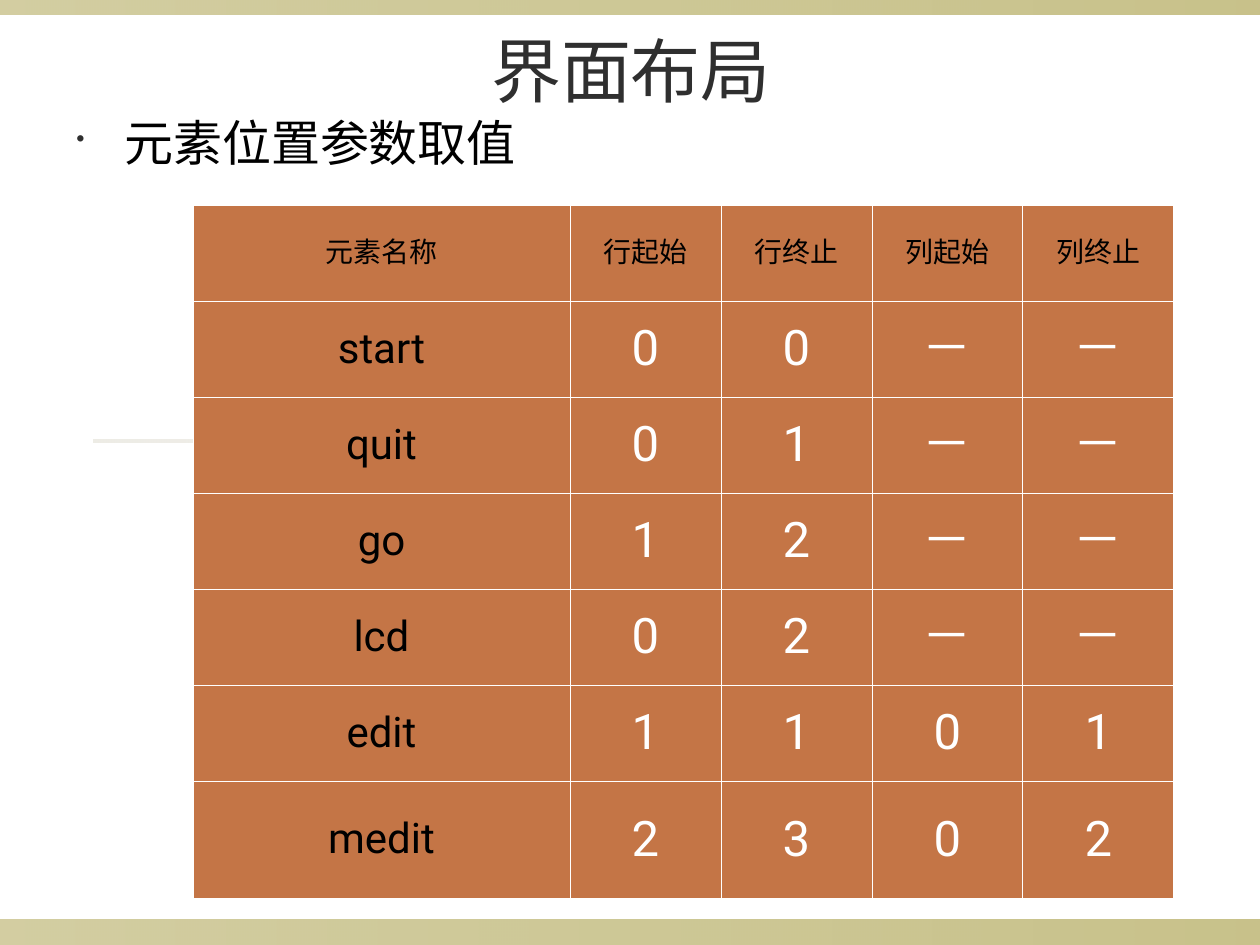
from pptx import Presentation
from pptx.dml.color import RGBColor
from pptx.enum.shapes import MSO_SHAPE as Preset
from pptx.enum.text import MSO_ANCHOR as Anchor, PP_ALIGN as Align
from pptx.oxml.ns import qn
from pptx.util import Emu, Pt
from lxml.etree import SubElement

PX = 914400 / 126
FONT = "Roboto"
OLIVE = RGBColor(0x91, 0x84, 0x15)
SAND = RGBColor(0xDC, 0xD9, 0xCC)
DARK = RGBColor(0x2F, 0x2F, 0x2F)
BLACK = RGBColor(0, 0, 0)
WHITE = RGBColor(0xFF, 0xFF, 0xFF)
COPPER = RGBColor(0xC4, 0x75, 0x46)

ROWS = [
    ["元素名称", "行起始", "行终止", "列起始", "列终止"],
    ["start", "0", "0", "－", "－"],
    ["quit", "0", "1", "－", "－"],
    ["go", "1", "2", "－", "－"],
    ["lcd", "0", "2", "－", "－"],
    ["edit", "1", "1", "0", "1"],
    ["medit", "2", "3", "0", "2"],
]
COLUMN_WIDTHS = [377] + [151] * 4
ROW_HEIGHTS = [96] * 6 + [117]


def px(*lengths):
    return [Emu(round(length * PX)) for length in lengths]


class SlideBuilder:
    def __init__(self, slide):
        self.slide = slide

    def band(self, box, color, start_alpha, end_alpha):
        """Rectangle whose opacity (in percent) changes from left to right."""
        shape = self.slide.shapes.add_shape(Preset.RECTANGLE, *px(*box))
        shape.shadow.inherit = False
        shape.line.fill.background()
        shape.fill.gradient()
        shape.fill.gradient_angle = 0
        for stop, alpha in zip(shape.fill.gradient_stops, (start_alpha, end_alpha)):
            stop.color.rgb = color
        colors = shape._element.spPr.iter(qn("a:srgbClr"))
        for element, alpha in zip(colors, (start_alpha, end_alpha)):
            SubElement(element, qn("a:alpha"), val=str(alpha * 1000))

    def run(self, paragraph, text, size, color):
        run = paragraph.add_run()
        run.text = text
        run.font.size = Pt(size)
        run.font.name = FONT
        run.font.color.rgb = color
        SubElement(run.font._element, qn("a:ea"), typeface=FONT)

    def text(self, box, text, size, color, align=Align.LEFT, anchor=Anchor.TOP):
        frame = self.slide.shapes.add_textbox(*px(*box)).text_frame
        frame.word_wrap = True
        frame.vertical_anchor = anchor
        paragraph = frame.paragraphs[0]
        paragraph.alignment = align
        self.run(paragraph, text, size, color)
        return paragraph

    def bullet(self, box, text, size, color, bullet_color):
        paragraph = self.text(box, text, size, color)
        paragraph.space_before = Pt(7)
        properties = paragraph._p.get_or_add_pPr()
        indent = px(48)[0]
        properties.set("marL", str(indent))
        properties.set("indent", str(-indent))
        holder = SubElement(properties, qn("a:buClr"))
        SubElement(holder, qn("a:srgbClr"), val=str(bullet_color))
        SubElement(properties, qn("a:buSzPct"), val="50000")
        SubElement(properties, qn("a:buChar"), char="•")

    def cell(self, cell, text, size, color, space_before):
        cell.vertical_anchor = Anchor.MIDDLE
        paragraph = cell.text_frame.paragraphs[0]
        paragraph.alignment = Align.CENTER
        paragraph.space_before = Pt(space_before)
        self.run(paragraph, text, size, color)
        properties = cell._tc.get_or_add_tcPr()
        for side in ("a:lnL", "a:lnR", "a:lnT", "a:lnB"):
            line = SubElement(properties, qn(side), w=str(Pt(0.45)))
            fill = SubElement(line, qn("a:solidFill"))
            SubElement(fill, qn("a:srgbClr"), val=str(WHITE))
        cell.fill.solid()
        cell.fill.fore_color.rgb = COPPER

    def table(self, left, top, rows, widths, heights):
        box = px(left, top, sum(widths), sum(heights))
        table = self.slide.shapes.add_table(len(rows), len(widths), *box).table
        for column, width in zip(table.columns, px(*widths)):
            column.width = width
        for row, height in zip(table.rows, px(*heights)):
            row.height = height
        for r, values in enumerate(rows):
            for c, value in enumerate(values):
                if r == 0:
                    style = (16, BLACK, 4)
                elif c == 0:
                    style = (24, BLACK, 6)
                else:
                    style = (28, WHITE, 7)
                self.cell(table.cell(r, c), value, *style)


def main():
    presentation = Presentation()
    presentation.slide_width, presentation.slide_height = px(1260, 945)
    slide = presentation.slides.add_slide(presentation.slide_layouts[6])
    builder = SlideBuilder(slide)
    builder.band((0, 920, 1260, 25), OLIVE, 40, 50)
    builder.band((0, 0, 1260, 15), OLIVE, 40, 50)
    builder.band((94, 440, 1071, 3), SAND, 50, 20)
    builder.text((64, 16, 1134, 107), "界面布局", 40, DARK, Align.CENTER, Anchor.MIDDLE)
    builder.bullet((64, 106, 556, 646), "元素位置参数取值", 28, BLACK, DARK)
    builder.table(193, 205, ROWS, COLUMN_WIDTHS, ROW_HEIGHTS)
    presentation.save("out.pptx")


if __name__ == "__main__":
    main()
